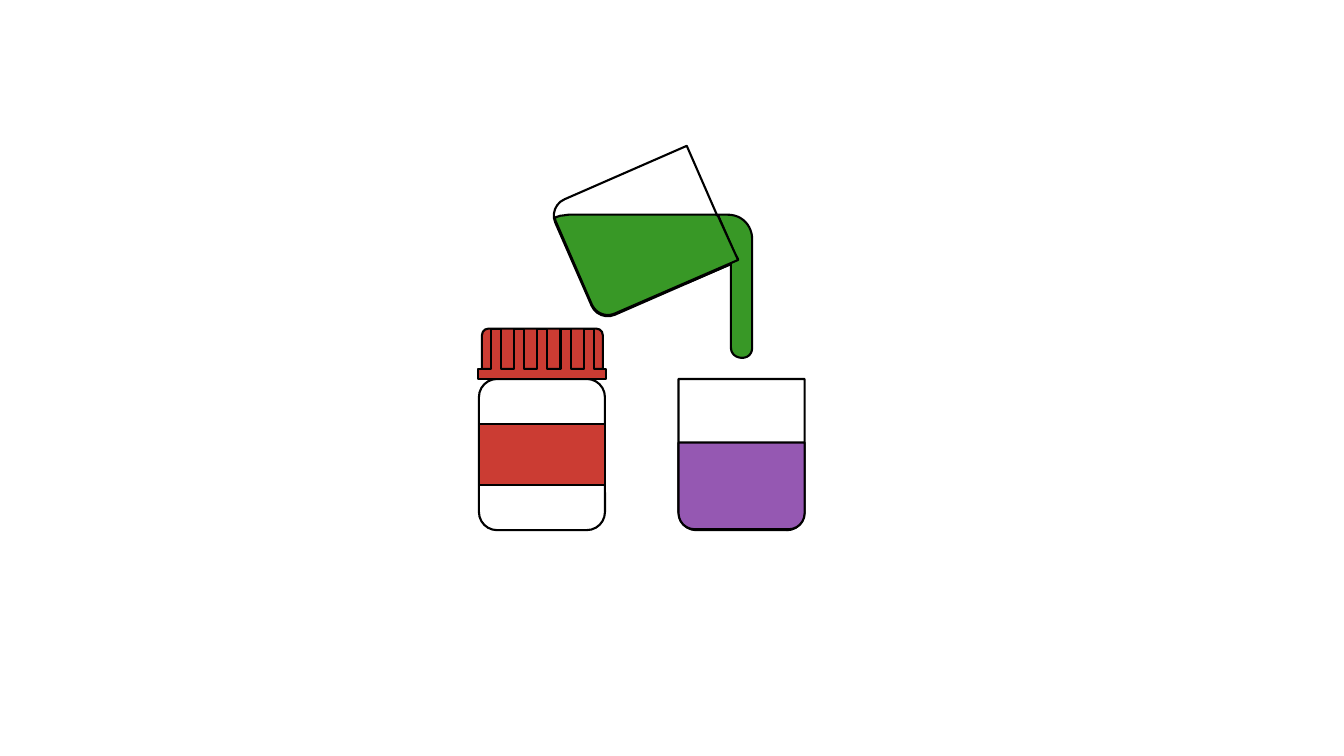
from pptx import Presentation
from pptx.dml.color import RGBColor
from pptx.enum.shapes import MSO_SHAPE as Kind
from pptx.util import Pt

PX = 9144  # EMU per px, 100 px to the inch
BLACK = RGBColor(0x00, 0x00, 0x00)
RED = RGBColor(0xCB, 0x3C, 0x33)
GREEN = RGBColor(0x38, 0x98, 0x26)
PURPLE = RGBColor(0x95, 0x58, 0xB2)


def style(shape, fill):
    shape.shadow.inherit = False
    shape.line.color.rgb = BLACK
    shape.line.width = Pt(1.5)
    if fill is None:
        shape.fill.background()
    else:
        shape.fill.solid()
        shape.fill.fore_color.rgb = fill


def block(parts, kind, x, y, w, h, fill=None, adj=(), turn=0):
    shape = parts.add_shape(kind, x * PX, y * PX, w * PX, h * PX)
    for i, value in enumerate(adj):
        shape.adjustments[i] = value
    shape.rotation = turn
    style(shape, fill)


def curve(start, bend, steps=12):
    """Points along a cubic curve: bend holds two controls and the end."""
    nodes = (start, bend[:2], bend[2:4], bend[4:])
    for i in range(1, steps + 1):
        t = i / steps
        rates = ((1 - t) ** 3, 3 * t * (1 - t) ** 2, 3 * t * t * (1 - t), t ** 3)
        yield tuple(sum(r * n[k] for r, n in zip(rates, nodes)) for k in (0, 1))


def outline(parts, x, y, route, fill):
    """Closed outline: pairs are corners, sixes are cubic curves."""
    points = [route[0]]
    for step in route[1:]:
        points += [step] if len(step) == 2 else curve(points[-1], step)
    spots = [(round((x + px) * PX), round((y + py) * PX)) for px, py in points]
    pen = parts.build_freeform(*spots[0])
    pen.add_line_segments(spots[1:], close=True)
    style(pen.convert_to_shape(), fill)


def jar(parts, x, y, w, h):
    # Body and cap
    block(parts, Kind.ROUNDED_RECTANGLE, x, y + 50, w, h - 50, adj=(0.144,))
    block(parts, Kind.ROUND_2_SAME_RECTANGLE, x + 3, y, w - 5, 40, RED)
    # Rim with five ribs
    rim = [(-1, 50), (-1, 40)]
    for i in range(5):
        left = 12 + 23 * i
        rim += [(left, 40), (left, 0), (left + 10, 0), (left + 10, 40)]
    rim += [(w + 1, 40), (w + 1, 50)]
    outline(parts, x, y, rim, RED)
    # Label
    block(parts, Kind.RECTANGLE, x, y + 95, w, 60, RED)


def glass(parts, x, y, w, h, turn=180):
    block(parts, Kind.ROUND_2_SAME_RECTANGLE, x, y, w, h,
          adj=(0.141, 0), turn=turn)


def beaker(parts, x, y, w, h):
    glass(parts, x, y, w, h)
    block(parts, Kind.ROUND_2_SAME_RECTANGLE, x, y + 63, w, h - 64, PURPLE,
          adj=(0.183, 0), turn=180)


def pour(parts, x, y, w, h):
    glass(parts, x, y, w, h, turn=246.4)
    # Stream over the lip
    stream = [(135, 56), (147, 56), (161, 56, 171, 67, 171, 80), (171, 188),
              (171, 194, 167, 198, 161, 198), (155, 198, 150, 194, 150, 188),
              (150, 105), (106, 124), (106, 122), (150, 103), (157, 100),
              (154, 95), (137, 56)]
    outline(parts, x, y, stream, GREEN)
    # Liquid in the tilted glass
    liquid = [(-9, 56), (135, 56), (137, 57), (157, 101), (35, 154),
              (26, 158, 16, 154, 12, 145), (-24, 62), (-25, 59), (-19, 57),
              (-16, 57, -13, 56, -9, 56)]
    outline(parts, x, y, liquid, GREEN)


def main():
    deck = Presentation()
    deck.slide_width, deck.slide_height = 1333 * PX, 750 * PX
    slide = deck.slides.add_slide(deck.slide_layouts[6])
    parts = slide.shapes.add_group_shape().shapes
    jar(parts, 475, 326, 125, 200)
    beaker(parts, 673, 376, 125, 150)
    pour(parts, 575, 157, 125, 150)
    deck.save("out.pptx")


if __name__ == "__main__":
    main()
